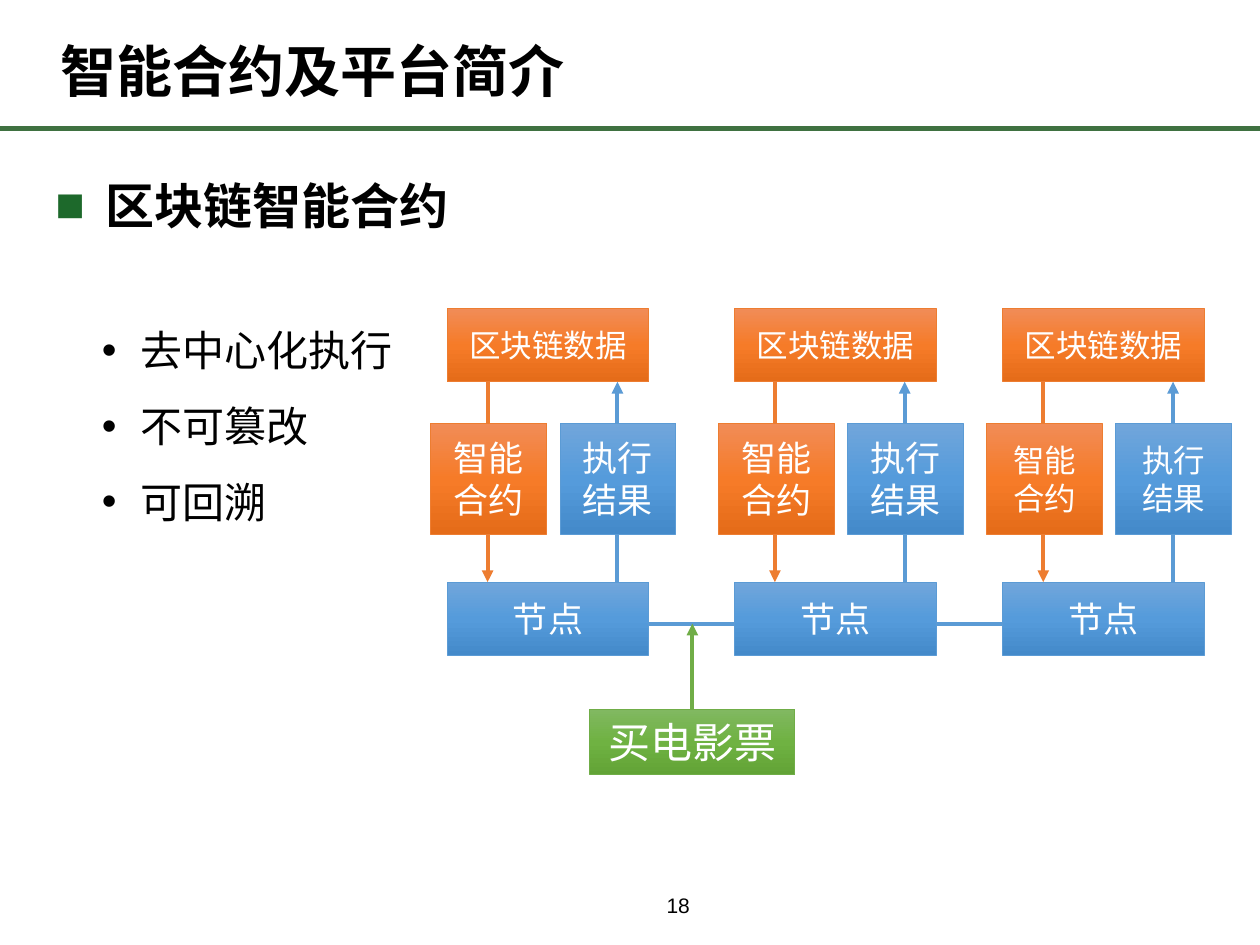
import copy

import pptx
import pptx.dml.color
import pptx.enum.shapes
import pptx.enum.text
import pptx.oxml.ns
import pptx.util
from lxml import etree

COLUMNS, ROWS = 100, 75
WIDTH, HEIGHT = pptx.util.Inches(10), pptx.util.Inches(7.5)
CJK = "Noto Sans CJK SC"
ALIGN = pptx.enum.text.PP_ALIGN
ANCHOR = pptx.enum.text.MSO_ANCHOR

ORANGE = {"line": "ED7D31", "stops": ("F18C57", "F67B28", "E56C19")}
BLUE = {"line": "5B9BD5", "stops": ("71A6DB", "559BDB", "448ACA")}
GREEN = {"line": "70AD47", "stops": ("81B861", "6FB242", "62A336")}

# Left column of each blockchain node and the text size of its two middle boxes
NODES = ((35.5, 20), (58.3, 20), (79.6, 18))
DATA_ROW, MIDDLE_ROW, NODE_ROW, TICKET_ROW = 24.5, 33.6, 46.2, 56.3
BOX_SIZE, MIDDLE_SIZE = (16, 5.8), (9.2, 8.8)
LINK_ROW = 49.5
TICKET_COLUMN, TICKET_SIZE = 46.8, (16.3, 5.2)


def across(columns):
    return int(WIDTH * columns / COLUMNS)


def down(rows):
    return int(HEIGHT * rows / ROWS)


def hex_color(value):
    return pptx.dml.color.RGBColor.from_string(value)


def apply_format(target, values):
    for name, value in values.items():
        setattr(target, name, value)


def add_element(parent, tag, **attributes):
    return etree.SubElement(parent, pptx.oxml.ns.qn(tag), attributes)


def write_text(frame, lines, size, color="000000", bold=False, name=CJK, **paragraph_format):
    for index, line in enumerate(lines):
        paragraph = frame.paragraphs[0] if index == 0 else frame.add_paragraph()
        apply_format(paragraph, paragraph_format)
        run = paragraph.add_run()
        run.text = line
        apply_format(run.font, {"size": pptx.util.Pt(size), "bold": bold, "name": name})
        run.font.color.rgb = hex_color(color)
        add_element(run.font._element, "a:ea", typeface=name)


def add_text(slide, left, top, width, height, lines, size, frame_format=None, **text_format):
    box = slide.shapes.add_textbox(across(left), down(top), across(width), down(height))
    apply_format(box.text_frame, {"word_wrap": True, **(frame_format or {})})
    write_text(box.text_frame, lines, size, **text_format)
    return box.text_frame


def indent(paragraph, left, hanging=0):
    properties = paragraph._p.get_or_add_pPr()
    properties.set("marL", str(across(left)))
    properties.set("indent", str(-across(hanging)))
    return properties


def add_bullets(frame, character, hanging, color="000000"):
    for paragraph in frame.paragraphs:
        properties = indent(paragraph, hanging, hanging)
        bullet_color = add_element(properties, "a:buClr")
        add_element(bullet_color, "a:srgbClr", val=color)
        add_element(properties, "a:buFont", typeface="Arial")
        add_element(properties, "a:buChar", char=character)


def add_line(slide, start, end, color, weight=2.25, arrow=False):
    line = slide.shapes.add_connector(
        pptx.enum.shapes.MSO_CONNECTOR.STRAIGHT,
        across(start[0]), down(start[1]), across(end[0]), down(end[1]))
    line.line.width = pptx.util.Pt(weight)
    line.line.color.rgb = hex_color(color)
    if arrow:
        add_element(line.line._get_or_add_ln(), "a:tailEnd", type="triangle")
    add_element(line._element.spPr, "a:effectLst")


def fill_gradient(shape, colors):
    """Fill from top to bottom with three evenly spaced colours."""
    shape.fill.gradient()
    shape.fill.gradient_angle = 270
    stop_list = shape._element.spPr.find(".//" + pptx.oxml.ns.qn("a:gsLst"))
    stop_list.append(copy.deepcopy(stop_list[0]))
    for index, (stop, color) in enumerate(zip(shape.fill.gradient_stops, colors)):
        stop.position = index / 2
        stop.color.rgb = hex_color(color)


def add_box(slide, left, top, box_size, lines, text_size, style):
    width, height = box_size
    box = slide.shapes.add_shape(
        pptx.enum.shapes.MSO_SHAPE.RECTANGLE,
        across(left), down(top), across(width), down(height))
    box.shadow.inherit = False
    fill_gradient(box, style["stops"])
    box.line.color.rgb = hex_color(style["line"])
    box.line.width = pptx.util.Pt(0.5)
    apply_format(box.text_frame, {"word_wrap": True, "vertical_anchor": ANCHOR.MIDDLE})
    write_text(box.text_frame, lines, text_size, color="FFFFFF", alignment=ALIGN.CENTER)


def add_node_lines(slide, left):
    data_bottom = DATA_ROW + BOX_SIZE[1]
    contract, result = left + 3.2, left + 13.5
    add_line(slide, (result, NODE_ROW), (result, data_bottom), BLUE["line"], arrow=True)
    add_line(slide, (contract, data_bottom), (contract, NODE_ROW), ORANGE["line"], arrow=True)


def add_node_boxes(slide, left, middle_text_size):
    add_box(slide, left, DATA_ROW, BOX_SIZE, ["区块链数据"], 18, ORANGE)
    add_box(slide, left - 1.3, MIDDLE_ROW, MIDDLE_SIZE, ["智能", "合约"], middle_text_size, ORANGE)
    add_box(slide, left + 8.95, MIDDLE_ROW, MIDDLE_SIZE, ["执行", "结果"], middle_text_size, BLUE)
    add_box(slide, left, NODE_ROW, BOX_SIZE, ["节点"], 20, BLUE)


def add_diagram(slide):
    for left, _ in NODES:
        add_node_lines(slide, left)
    add_line(slide, (40.1, LINK_ROW), (91.8, LINK_ROW), BLUE["line"])
    for left, middle_text_size in NODES:
        add_node_boxes(slide, left, middle_text_size)
    add_box(slide, TICKET_COLUMN, TICKET_ROW, TICKET_SIZE, ["买电影票"], 24, GREEN)
    ticket_center = TICKET_COLUMN + TICKET_SIZE[0] / 2
    add_line(slide, (ticket_center, TICKET_ROW), (ticket_center, LINK_ROW),
             GREEN["line"], arrow=True)


def add_page_number(slide):
    margins = dict.fromkeys(("margin_left", "margin_right", "margin_top", "margin_bottom"), 0)
    frame = add_text(slide, 4.2, 70, 91.5, 2.8, ["18"], 12,
                     {"vertical_anchor": ANCHOR.BOTTOM, **margins},
                     name="Arial", line_spacing=pptx.util.Pt(20))
    indent(frame.paragraphs[0], 48.7)


def main():
    presentation = pptx.Presentation()
    apply_format(presentation, {"slide_width": WIDTH, "slide_height": HEIGHT})
    slide = presentation.slides.add_slide(presentation.slide_layouts[6])

    add_line(slide, (0, 10.2), (COLUMNS, 10.2), "3F7141", weight=3)
    add_page_number(slide)
    add_text(slide, 3.8, 1.1, 86.2, 9.3, ["智能合约及平台简介"], 32,
             {"vertical_anchor": ANCHOR.MIDDLE}, bold=True, line_spacing=pptx.util.Pt(36))
    heading = add_text(slide, 3.4, 11.1, 89.9, 8.1, ["区块链智能合约"], 28,
                       bold=True, line_spacing=1.5)
    add_bullets(heading, "■", 4, "1D692B")
    add_diagram(slide)
    features = add_text(slide, 7.1, 23.3, 29.3, 18.7,
                        ["去中心化执行", "不可篡改", "可回溯"], 24, line_spacing=1.5)
    add_bullets(features, "•", 3.1)

    presentation.save("out.pptx")


if __name__ == "__main__":
    main()
